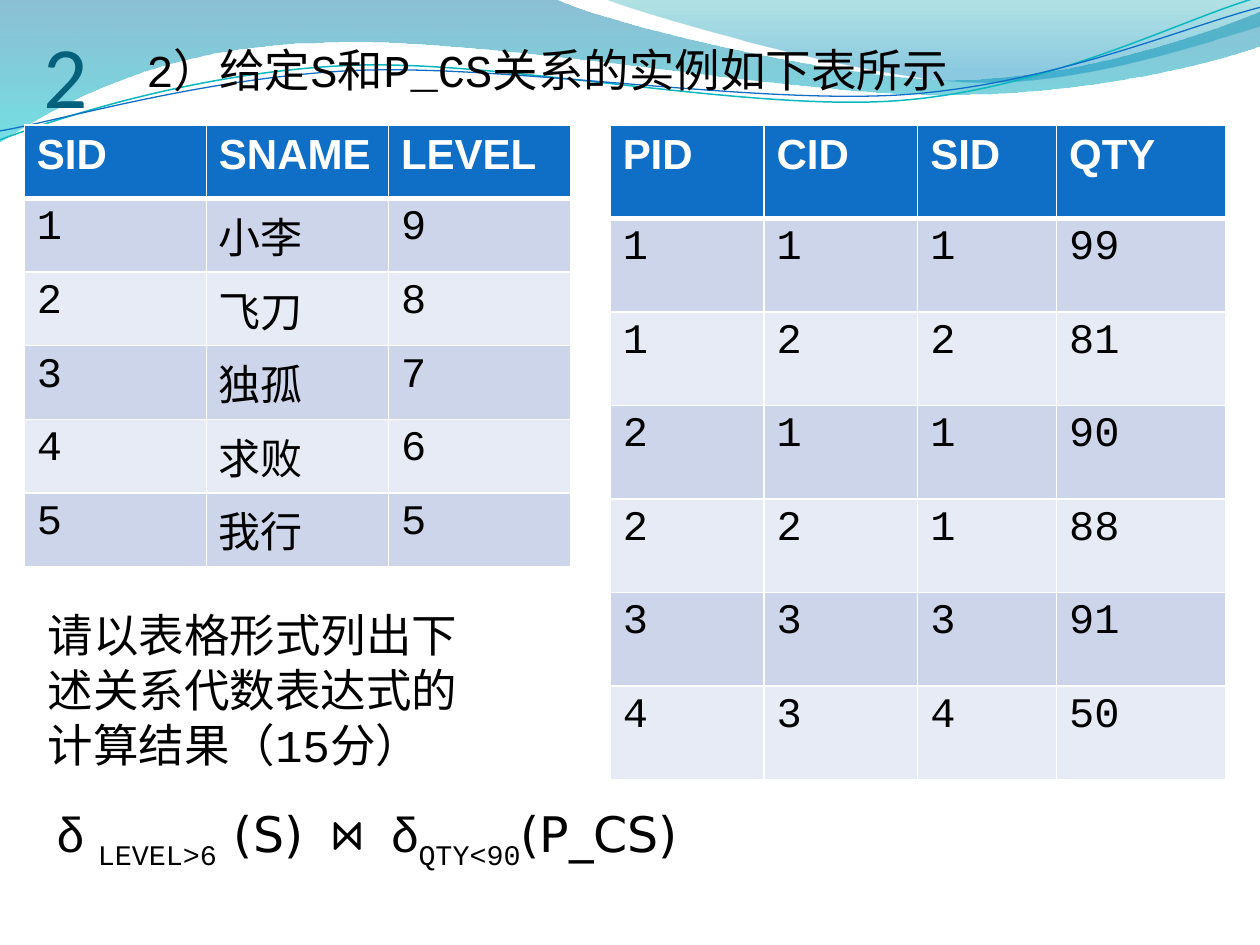
from lxml.etree import SubElement
from pptx import Presentation
from pptx.dml.color import RGBColor
from pptx.enum.text import MSO_ANCHOR, MSO_AUTO_SIZE, PP_ALIGN
from pptx.oxml.ns import qn
from pptx.util import Cm, Pt

COLORS = {
    "blue": "0F6FC6", "teal": "0AB8BF", "title": "04617B",
    "odd row": "CCD5EA", "even row": "E7EBF5", "white": "FFFFFF", "black": "000000",
    "wave top": "0074A1", "wave bottom": "00C6CF",
    "crest top": "00A1A9", "crest bottom": "008BBF",
}


def format_run(run, size, name, color, bold=False):
    run.font.size = Pt(size)
    run.font.name = name
    run.font.bold = bold
    run.font.color.rgb = RGBColor.from_string(COLORS[color])


def draw_outline(shapes, start, segments, close):
    """Draw cubic curves (three points) and straight lines (one point), in cm."""
    builder = shapes.build_freeform(Cm(start[0]), Cm(start[1]))
    points = [(Cm(x), Cm(y)) for segment in segments for x, y in segment]
    builder.add_line_segments(points, close=close)
    shape = builder.convert_to_shape()
    shape.shadow.inherit = False
    # Join each three steps of a curve into one cubic step
    steps = iter(list(shape._element.iter(qn("a:lnTo"))))
    for segment in segments:
        corners = [next(steps) for _ in segment]
        if len(corners) == 3:
            curve = corners[0].makeelement(qn("a:cubicBezTo"))
            corners[0].addprevious(curve)
            for corner in corners:
                curve.append(corner[0])
                corner.getparent().remove(corner)
    return shape


presentation = Presentation()
presentation.slide_width = Cm(25.4)
presentation.slide_height = Cm(19.05)
slide = presentation.slides.add_slide(presentation.slide_layouts[5])

# Translucent waves: start, segments, gradient stops (position, color, opacity %)
waves = [
    ((0, -0.03),
     [[(11.18, -0.03)],
      [(12.09, 0.43), (16.87, 1.6), (19.25, 1.6)],
      [(21.67, 1.6), (24.33, 0.66), (25.4, 0.23)],
      [(25.43, 0.91)],
      [(24.97, 1.12), (22.1, 1.93), (18.95, 1.91)],
      [(15.8, 1.91), (9.7, 0.71), (6.53, 0.86)],
      [(3.28, 0.89), (1.17, 2.11), (-0.03, 2.87)]],
     [(0, "wave top", 45), (1, "wave bottom", 55)]),
    ((12.17, -0.03),
     [[(12.93, 0.28), (17.32, 1.57), (19.53, 1.65)],
      [(21.74, 1.75), (24.41, 0.81), (25.4, 0.53)],
      [(25.4, 0)]],
     [(0, "crest top", 30), (0.8, "crest bottom", 45)]),
]
for start, segments, stops in waves:
    wave = draw_outline(slide.shapes, start, segments, close=True)
    wave.line.fill.background()
    wave.fill.gradient()
    wave.fill.gradient_angle = 270
    for stop, (position, color, _) in zip(wave.fill.gradient_stops, stops):
        stop.position = position
        stop.color.rgb = RGBColor.from_string(COLORS[color])
    for element, (_, _, opacity) in zip(wave._element.spPr.iter(qn("a:srgbClr")), stops):
        SubElement(element, qn("a:alpha"), val=str(opacity * 1000))

# Thin wave lines
wave_lines = [
    ((0, 2.82),
     [[(1.22, 2.36), (4.01, 1.45), (7.04, 1.32)],
      [(10.03, 1.19), (15.06, 2.26), (18.11, 2.03)],
      [(21.16, 1.8), (23.83, 0.38), (25.35, -0.05)]],
     "teal", 0.85),
    ((0, 2.64),
     [[(1.19, 2.44), (4.17, 1.55), (7.19, 1.42)],
      [(10.24, 1.3), (15.16, 2.11), (18.21, 1.91)],
      [(21.23, 1.7), (23.9, 0.53), (25.4, 0.15)]],
     "blue", 0.75),
]
for start, segments, color, width in wave_lines:
    wave_line = draw_outline(slide.shapes, start, segments, close=False)
    wave_line.fill.background()
    wave_line.line.color.rgb = RGBColor.from_string(COLORS[color])
    wave_line.line.width = Pt(width)

# Title, in front of the waves
title = slide.shapes.title
wave_line._element.addnext(title._element)
title.left, title.top, title.width, title.height = Cm(0.88), Cm(0.53), Cm(22.86), Cm(2.01)
text_frame = title.text_frame
text_frame.text = "2"
text_frame.auto_size = MSO_AUTO_SIZE.NONE
text_frame.vertical_anchor = MSO_ANCHOR.BOTTOM
text_frame.margin_left = text_frame.margin_right = text_frame.margin_bottom = 0
text_frame.margin_top = Cm(0.13)
text_frame.paragraphs[0].alignment = PP_ALIGN.LEFT
format_run(text_frame.paragraphs[0].runs[0], 50, "Calibri", "title")

# Text boxes: position and runs (text, size, font, baseline %)
formula = [
    ("δ ", "Arial", 0), ("LEVEL>6 ", "Courier New", -25), ("(S)", "DejaVu Sans", 0),
    (" ⋈ ", "Courier New", 0), ("δ", "Arial", 0), ("QTY<90", "Courier New", -25),
    ("(P_CS)", "DejaVu Sans", 0),
]
text_boxes = [
    ((2.7, 0.73, 21.44, 1.8), 26,
     [("2）给定S和P_CS关系的实例如下表所示", "Courier New", 0)]),
    ((0.71, 12.12, 9.4, 3), 26,
     [("请以表格形式列出下述关系代数表达式的计算结果（15分）", "Courier New", 0)]),
    ((0.9, 16.08, 23.01, 1.45), 28, formula),
]
for box, size, runs in text_boxes:
    text_box = slide.shapes.add_textbox(*map(Cm, box))
    text_box.text_frame.word_wrap = True
    paragraph = text_box.text_frame.paragraphs[0]
    for text, font_name, baseline in runs:
        run = paragraph.add_run()
        run.text = text
        format_run(run, size, font_name, "black")
        if baseline:
            run.font._element.set("baseline", str(baseline * 1000))

# Tables S and P_CS: left, column widths, height, rows
tables = [
    (0.49, [3.67] * 3, 8.9,
     [["SID", "SNAME", "LEVEL"], ["1", "小李", "9"], ["2", "飞刀", "8"],
      ["3", "独孤", "7"], ["4", "求败", "6"], ["5", "我行", "5"]]),
    (12.3, [3.1, 3.1, 2.8, 3.41], 13.2,
     [["PID", "CID", "SID", "QTY"], ["1", "1", "1", "99"], ["1", "2", "2", "81"],
      ["2", "1", "1", "90"], ["2", "2", "1", "88"], ["3", "3", "3", "91"],
      ["4", "3", "4", "50"]]),
]
for left, widths, height, rows in tables:
    table = slide.shapes.add_table(len(rows), len(widths), Cm(left), Cm(2.52),
                                   Cm(sum(widths)), Cm(height)).table
    for column, width in zip(table.columns, widths):
        column.width = Cm(width)
    for row_index, values in enumerate(rows):
        header = row_index == 0
        fill = "blue" if header else "odd row" if row_index % 2 else "even row"
        for column_index, value in enumerate(values):
            cell = table.cell(row_index, column_index)
            cell.text = value
            run = cell.text_frame.paragraphs[0].runs[0]
            if header:
                format_run(run, 24, "Arial", "white", bold=True)
            else:
                format_run(run, 24, "Courier New", "black")
            # White borders, heavier under the header
            properties = cell._tc.get_or_add_tcPr()
            for side in ("lnL", "lnR", "lnT", "lnB"):
                heavy = (row_index, side) in ((0, "lnB"), (1, "lnT"))
                border = SubElement(properties, qn(f"a:{side}"), w=str(Pt(3 if heavy else 1)))
                border_fill = SubElement(border, qn("a:solidFill"))
                SubElement(border_fill, qn("a:srgbClr"), val=COLORS["white"])
            cell.fill.solid()
            cell.fill.fore_color.rgb = RGBColor.from_string(COLORS[fill])

presentation.save("out.pptx")
